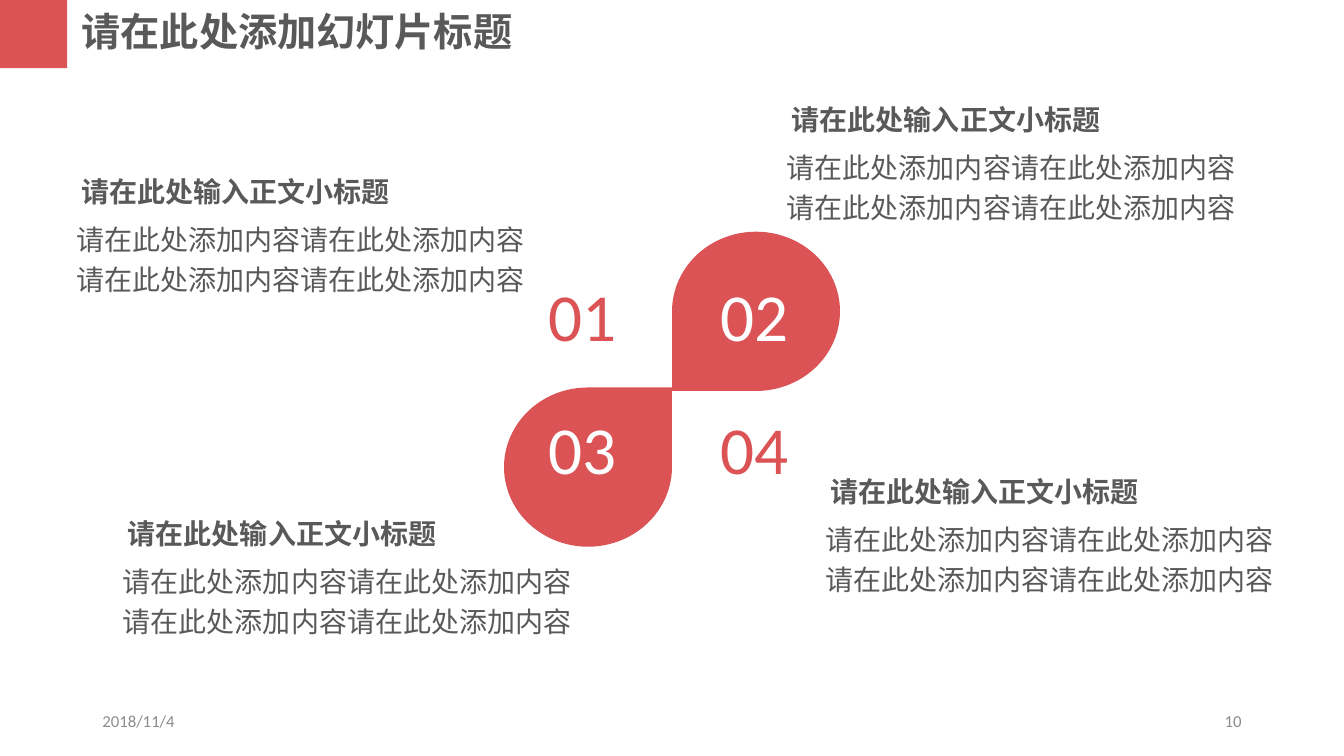
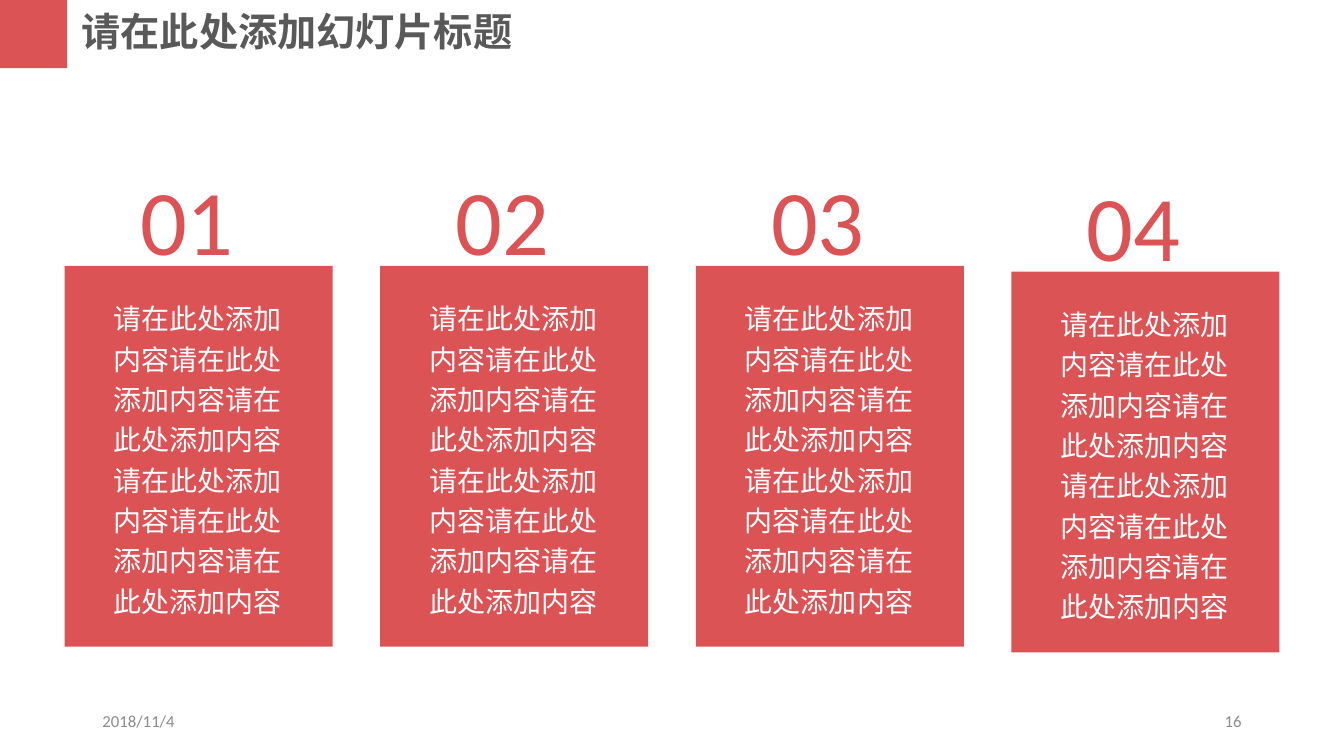
from pptx import Presentation
from pptx.dml.color import RGBColor
from pptx.enum.shapes import MSO_SHAPE as Geo
from pptx.enum.text import MSO_ANCHOR as Anchor, MSO_AUTO_SIZE as Fit, PP_ALIGN as Align
from pptx.oxml.ns import qn
from pptx.util import Pt
from lxml.etree import SubElement

RED = RGBColor(0xDB, 0x53, 0x55)
DARK = RGBColor(0x59, 0x59, 0x59)
GRAY = RGBColor(0x8C, 0x8C, 0x8C)
WHITE = RGBColor(0xFF, 0xFF, 0xFF)
LATIN = "Calibri"
HAN = "Noto Sans CJK SC"

TITLE = "请在此处添加幻灯片标题"
HEAD = "请在此处输入正文小标题"
BODY = "请在此处添加内容"
DATE = "2018/11/4"


def add_box(shapes, geo, x, y, w, h, turn=0):
    box = shapes.add_shape(geo, Pt(x), Pt(y), Pt(w), Pt(h))
    box.rotation = turn
    box.shadow.inherit = False
    box.fill.solid()
    box.fill.fore_color.rgb = RED
    box.line.fill.background()


def add_text(shapes, text, x, y, w, h, size, color, font=HAN, bold=False,
             lead=None, align=Align.LEFT, anchor=Anchor.TOP, fit=Fit.SHAPE_TO_FIT_TEXT):
    frame = shapes.add_textbox(Pt(x), Pt(y), Pt(w), Pt(h)).text_frame
    frame.word_wrap = True
    frame.auto_size = fit
    frame.vertical_anchor = anchor
    para = frame.paragraphs[0]
    para.alignment = align
    para.line_spacing = lead
    run = para.add_run()
    run.text = text
    run.font.size = Pt(size)
    run.font.bold = bold
    run.font.color.rgb = color
    run.font.name = font
    east = SubElement(run.font._element, qn("a:ea"))
    east.set("typeface", font)


def add_foot(shapes, text, x, align):
    add_text(shapes, text, x, 500.5, 216, 28.75, 12, GRAY, LATIN,
             align=align, anchor=Anchor.MIDDLE, fit=Fit.NONE)


def add_page(deck, number):
    shapes = deck.slides.add_slide(deck.slide_layouts[6]).shapes
    add_box(shapes, Geo.RECTANGLE, 0, 0, 48, 48.75)
    add_text(shapes, TITLE, 51.25, 2, 353, 41, 28, DARK, bold=True)
    add_foot(shapes, DATE, 66, Align.LEFT)
    add_foot(shapes, number, 678, Align.RIGHT)
    return shapes


def add_note(shapes, x, y):
    add_text(shapes, HEAD, x, y, 343.5, 34, 20, DARK, bold=True, lead=1.2)
    add_text(shapes, BODY * 4, x - 3.6, y + 34.2, 343.5, 63, 20, DARK, lead=1.2)


def add_card(shapes, label, x, y, width):
    group = shapes.add_group_shape().shapes
    add_text(group, label, x + 46.8, y - 77, width, 87, 66, RED, LATIN)
    add_box(group, Geo.RECTANGLE, x, y, 191.5, 272)
    add_text(group, BODY * 6, x + 28, y + 17.3, 135.5, 237.5, 20, WHITE, lead=1.2)


def add_petals(deck):
    shapes = add_page(deck, "10")
    add_box(shapes, Geo.TEAR, 480, 165.5, 120, 113.75, 180)
    add_box(shapes, Geo.TEAR, 360, 276.75, 120, 113.75)
    for i, color in enumerate((RED, WHITE, WHITE, RED)):
        row, col = divmod(i, 2)
        add_text(shapes, f"0{i + 1}", 384.5 + 123 * col, 192.25 + 95 * row,
                 96, 65.5, 48, color, LATIN)
    for x, y in ((51, 116.5), (558.5, 65), (84.25, 360.75), (586, 330.75)):
        add_note(shapes, x, y)


def add_cards(deck):
    shapes = add_page(deck, "16")
    tops = (190, 190, 190, 194)
    widths = (98, 111, 110, 119)
    for i, (top, width) in enumerate(zip(tops, widths)):
        add_card(shapes, f"0{i + 1}", 46.2 + 225.4 * i, top, width)


def main():
    deck = Presentation()
    deck.slide_width = Pt(960)
    deck.slide_height = Pt(540)
    add_petals(deck)
    add_cards(deck)
    deck.save("out.pptx")


if __name__ == "__main__":
    main()
